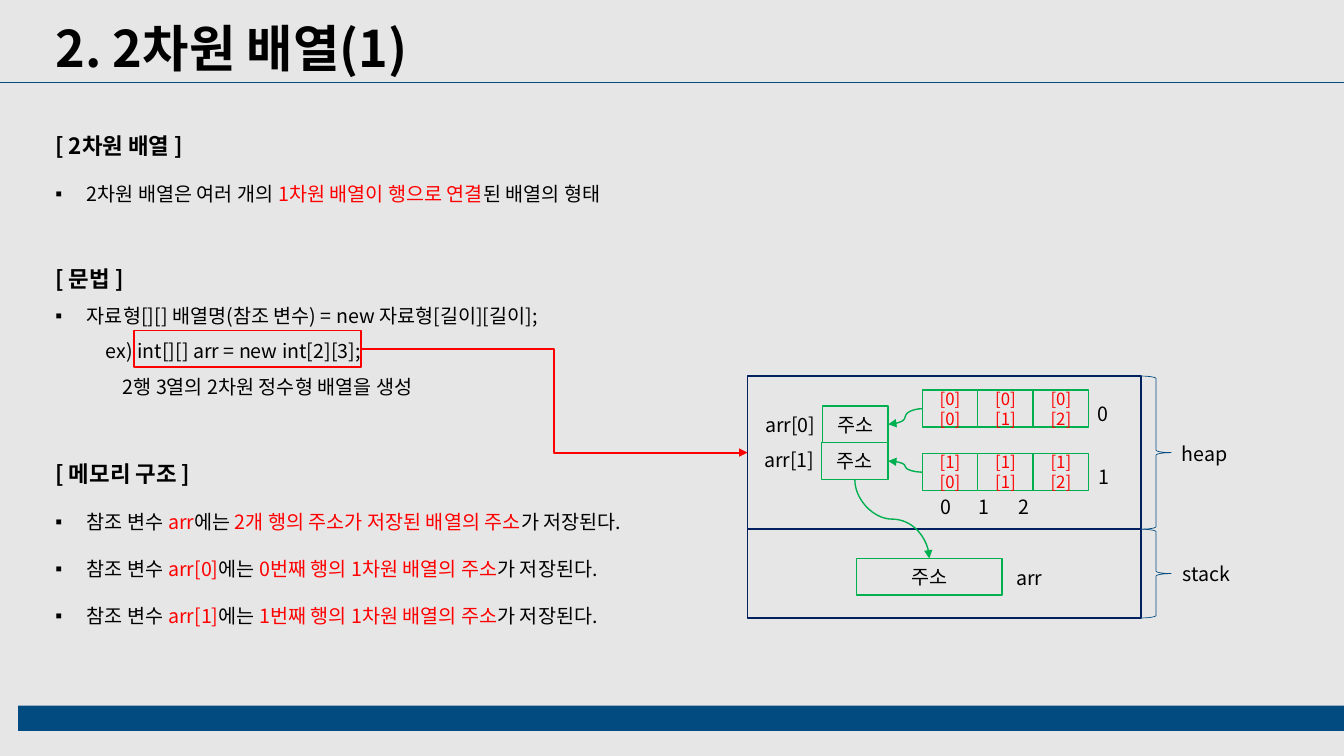
from dataclasses import dataclass

from lxml.etree import SubElement
from pptx import Presentation
from pptx.dml.color import RGBColor
from pptx.enum.shapes import MSO_CONNECTOR, MSO_SHAPE
from pptx.enum.text import MSO_ANCHOR, MSO_AUTO_SIZE, PP_ALIGN
from pptx.oxml.ns import qn
from pptx.util import Pt


@dataclass(frozen=True)
class Theme:
    font: str = "Noto Sans CJK KR"
    background: RGBColor = RGBColor(0xE7, 0xE6, 0xE6)
    blue: RGBColor = RGBColor(0x02, 0x4B, 0x80)
    navy: RGBColor = RGBColor(0x00, 0x20, 0x60)
    green: RGBColor = RGBColor(0x00, 0xB0, 0x50)
    red: RGBColor = RGBColor(0xFF, 0x00, 0x00)
    black: RGBColor = RGBColor(0x00, 0x00, 0x00)
    title: Pt = Pt(36)
    heading: Pt = Pt(16)
    body: Pt = Pt(14)
    cell: Pt = Pt(12)


theme = Theme()
prs = Presentation()
prs.slide_width, prs.slide_height = Pt(960), Pt(540)
slide = prs.slides.add_slide(prs.slide_layouts[1])
slide.background.fill.solid()
slide.background.fill.fore_color.rgb = theme.background
shapes = slide.shapes


def add_outline(preset, left, top, width, height, color, weight=1, text="",
                size=theme.body, text_color=theme.black):
    """Add an unfilled shape with centred text."""
    shape = shapes.add_shape(preset, Pt(left), Pt(top), Pt(width), Pt(height))
    shape.shadow.inherit = False
    shape.fill.background()
    shape.line.color.rgb = color
    shape.line.width = Pt(weight)
    if text:
        shape.text_frame.text = text
        shape.text_frame.vertical_anchor = MSO_ANCHOR.MIDDLE
        paragraph = shape.text_frame.paragraphs[0]
        paragraph.alignment = PP_ALIGN.CENTER
        paragraph.runs[0].font.size = size
        paragraph.runs[0].font.color.rgb = text_color
    return shape


def add_line(kind, start, end, color, weight, arrow=True):
    line = shapes.add_connector(kind, *(Pt(value) for value in start + end))
    line.line.color.rgb = color
    line.line.width = Pt(weight)
    if arrow:
        SubElement(line.line._get_or_add_ln(), qn("a:tailEnd"), type="triangle")
    SubElement(line._element.spPr, qn("a:effectLst"))
    return line


# Title and footer bar
title = shapes.title
title.left, title.top, title.width, title.height = Pt(32.4), Pt(8), Pt(627), Pt(51)
title.text_frame.text = "2. 2차원 배열(1)"
title.text_frame.auto_size = MSO_AUTO_SIZE.NONE
title_paragraph = title.text_frame.paragraphs[0]
title_paragraph.alignment = PP_ALIGN.LEFT
title_paragraph.runs[0].font.size = theme.title
title_paragraph.runs[0].font.bold = True
add_line(MSO_CONNECTOR.STRAIGHT, (0, 59), (960, 59), theme.blue, 0.5, arrow=False)

footer_bar = add_outline(MSO_SHAPE.RECTANGLE, 13, 504, 947, 18, theme.blue)
footer_bar.fill.solid()
footer_bar.fill.fore_color.rgb = theme.blue
footer_bar.line.fill.background()

# Explanation: kind, line spacing, space before, then black and red parts in turn
explanation = [
    ("heading", 2, 0, ["[ 2차원 배열 ]"]),
    ("bullet", 2, 0, ["2차원 배열은 여러 개의 ", "1차원 배열이 행으로 연결", "된 배열의 형태"]),
    ("heading", 1.5, 33, ["[ 문법 ]"]),
    ("bullet", 1.5, 0, ["자료형[][] 배열명(참조 변수) = new 자료형[길이][길이];"]),
    ("example", 1.5, 0, ["ex) int[][] arr = new int[2][3];"]),
    ("note", 1.5, 0, ["2행 3열의 2차원 정수형 배열을 생성"]),
    ("heading", 2, 25, ["[ 메모리 구조 ]"]),
    ("bullet", 2, 0, ["참조 변수 ", "arr", "에는 ", "2개 행의 주소가 저장된 배열의 주소", "가 저장된다."]),
    ("bullet", 2, 0, ["참조 변수 ", "arr[0]", "에는 ", "0번째 행의 1차원 배열의 주소", "가 저장된다."]),
    ("bullet", 2, 0, ["참조 변수 ", "arr[1]", "에는 ", "1번째 행의 1차원 배열의 주소", "가 저장된다."]),
]
indents = {"heading": (0, 0), "bullet": (22.5, -22.5), "example": (36, 0), "note": (48, 0)}
body = slide.placeholders[1]
body.left, body.top, body.width, body.height = Pt(32.4), Pt(71.3), Pt(511), Pt(405)
body.text_frame.auto_size = MSO_AUTO_SIZE.NONE
for index, (kind, spacing, before, parts) in enumerate(explanation):
    paragraph = body.text_frame.paragraphs[0] if index == 0 else body.text_frame.add_paragraph()
    paragraph.level = 1 if kind in ("example", "note") else 0
    paragraph.line_spacing = spacing
    paragraph.space_before = Pt(before)
    properties = paragraph._p.get_or_add_pPr()
    margin, first_line = indents[kind]
    properties.set("marL", str(Pt(margin)))
    properties.set("indent", str(Pt(first_line)))
    if kind == "bullet":
        SubElement(properties, qn("a:buChar"), char="▪")
    else:
        SubElement(properties, qn("a:buNone"))
    for position, part in enumerate(parts):
        run = paragraph.add_run()
        run.text = part
        run.font.size = theme.heading if kind == "heading" else theme.body
        run.font.bold = kind == "heading"
        run.font.color.rgb = theme.red if position % 2 else theme.black

# Memory areas
areas = [(268.6, 109.4), (378, 63.4)]
heap, stack = [add_outline(MSO_SHAPE.RECTANGLE, 534, top, 281, height, theme.navy)
               for top, height in areas]
for top, height in areas:
    add_outline(MSO_SHAPE.RIGHT_BRACE, 815, top, 21.6, height, theme.blue, 0.5)
add_outline(MSO_SHAPE.RECTANGLE, 612, 399, 103.7, 26, theme.green, text="주소")

# Rows of the array, each with the cell that holds its address
for row, (cells_top, address_left, address_top) in enumerate([(278.6, 587.5, 290), (324, 586.8, 316.2)]):
    row_cells = [
        add_outline(MSO_SHAPE.RECTANGLE, 658.8 + 39.6 * column, cells_top, 39.6, 26.6, theme.green,
                    text=f"[{row}][{column}]", size=theme.cell, text_color=theme.red)
        for column in range(3)
    ]
    address = add_outline(MSO_SHAPE.RECTANGLE, address_left, address_top, 634.4 - address_left, 26.2,
                          theme.green, text="주소")
    row_arrow = add_line(MSO_CONNECTOR.CURVE, (658.8, cells_top + 13.3), (634.4, address_top + 13.1),
                         theme.green, 1)
    row_arrow.begin_connect(row_cells[0], 1)
    row_arrow.end_connect(address, 3)

# A quarter turn makes this curve leave and arrive vertically
stack_arrow = add_line(MSO_CONNECTOR.CURVE, (665.3, 344.2), (609.1, 397.4), theme.green, 1)
stack_arrow._element.spPr.find(qn("a:xfrm")).set("rot", "16200000")

for label, left, top, width in [
    ("arr[0]", 539.3, 291, 50.4), ("arr[1]", 538.6, 316.2, 50.4), ("arr", 715.7, 400.3, 38.9),
    ("heap", 835.2, 311.8, 50.4), ("stack", 836.6, 397.4, 50.4),
    ("0", 776, 283.5, 23.8), ("1", 776.6, 328.5, 23.8),
    ("0\t1\t2", 658.8, 350, 115.2),
]:
    label_box = shapes.add_textbox(Pt(left), Pt(top), Pt(width), Pt(24.5))
    label_frame = label_box.text_frame
    label_frame.text = label
    label_frame.vertical_anchor = MSO_ANCHOR.MIDDLE
    label_paragraph = label_frame.paragraphs[0]
    label_frame.word_wrap = "\t" in label
    if label_frame.word_wrap:
        label_frame.margin_left = Pt(13)
        tab_list = SubElement(label_paragraph._p.get_or_add_pPr(), qn("a:tabLst"))
        for stop in (27, 56):
            SubElement(tab_list, qn("a:tab"), pos=str(Pt(stop)), algn="l")
    else:
        label_paragraph.alignment = PP_ALIGN.CENTER
    for run in label_paragraph.runs:
        run.font.size = theme.body
        run.font.color.rgb = theme.black

# Example statement and the memory it creates
statement = add_outline(MSO_SHAPE.RECTANGLE, 95.8, 236.2, 162, 26, theme.red)
creation_arrow = add_line(MSO_CONNECTOR.ELBOW, (257.8, 249.2), (534, 323.3), theme.red, 1.5)
creation_arrow.begin_connect(statement, 3)
creation_arrow.end_connect(heap, 1)

# One font for Latin and Korean text
for shape in shapes:
    if shape.has_text_frame:
        for paragraph in shape.text_frame.paragraphs:
            for run in paragraph.runs:
                run.font.name = theme.font
                SubElement(run._r.get_or_add_rPr(), qn("a:ea"), typeface=theme.font)

prs.save("out.pptx")
